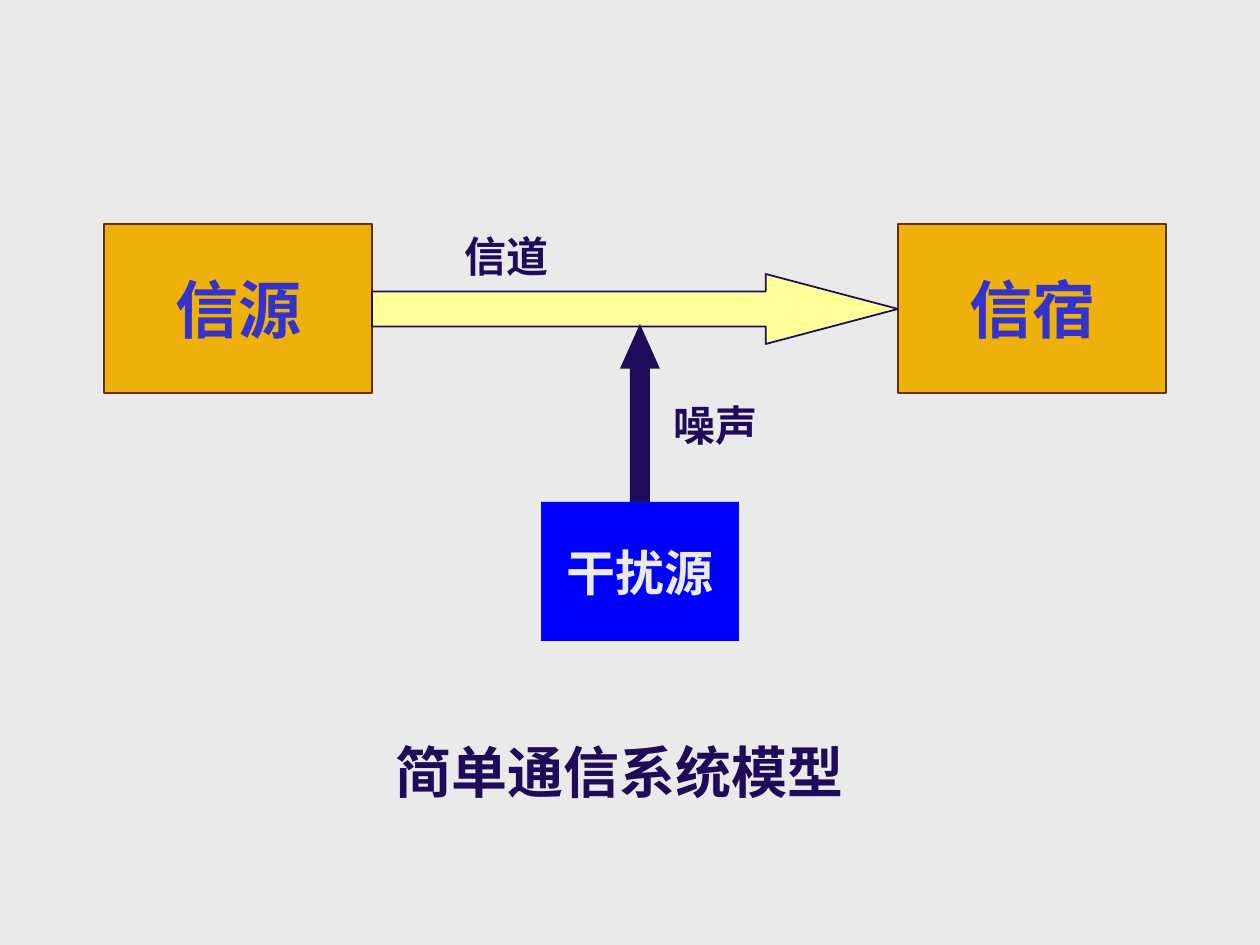
from pptx import Presentation
from pptx import util as u
from pptx.dml.color import RGBColor
from pptx.enum import shapes, text

PX = 914400 / 126  # EMU per px
FONT = "Times New Roman"
GREY = RGBColor(0xEA, 0xEA, 0xEA)
NAVY = RGBColor(0x20, 0x0B, 0x5B)
AMBER = RGBColor(0xEE, 0xB0, 0x0B)
BROWN = RGBColor(0x66, 0x33, 0x00)
INDIGO = RGBColor(0x33, 0x33, 0xCC)
BLUE = RGBColor(0x00, 0x00, 0xFF)
YELLOW = RGBColor(0xFF, 0xFF, 0x99)


def add_shape(kind, box, fill, line=None):
    sp = s.shapes.add_shape(kind, *[round(v * PX) for v in box])
    sp.shadow.inherit = False
    sp.fill.solid()
    sp.fill.fore_color.rgb = fill
    if line is None:
        sp.line.fill.background()
    else:
        sp.line.color.rgb = line
        sp.line.width = u.Pt(1)
    return sp


def write(sp, words, size, color, align, anchor, wrap=True):
    tf = sp.text_frame
    tf.word_wrap = wrap
    tf.vertical_anchor = anchor
    tf.text = words
    p = tf.paragraphs[0]
    p.alignment = align
    p.font.name = FONT
    p.font.size = u.Pt(size)
    p.font.bold = True
    p.font.color.rgb = color


prs = Presentation()
prs.slide_width, prs.slide_height = u.Inches(10), u.Inches(7.5)
s = prs.slides.add_slide(prs.slide_layouts[5])
s.background.fill.solid()
s.background.fill.fore_color.rgb = GREY
CENTER, LEFT = text.PP_ALIGN.CENTER, text.PP_ALIGN.LEFT
TOP, MIDDLE = text.MSO_ANCHOR.TOP, text.MSO_ANCHOR.MIDDLE

# Source, destination and interference boxes
for words, box, fill, line, size, color in [
    ("信源", (104, 224, 268, 169), AMBER, BROWN, 36, INDIGO),
    ("信宿", (898, 224, 268, 169), AMBER, BROWN, 36, INDIGO),
    ("干扰源", (541, 502, 198, 139), BLUE, None, 28, GREY),
]:
    sp = add_shape(shapes.MSO_SHAPE.RECTANGLE, box, fill, line)
    write(sp, words, size, color, CENTER, MIDDLE, wrap=False)

# Channel and noise arrows
channel = add_shape(shapes.MSO_SHAPE.RIGHT_ARROW, (372, 274, 526, 70), YELLOW, NAVY)
channel.adjustments[1] = 1.89
noise = add_shape(shapes.MSO_SHAPE.UP_ARROW, (620, 324, 40, 178), NAVY)
noise.adjustments[1] = 1.12

# Arrow labels
for words, box, align in [
    ("信道", (412, 224, 189, 63), CENTER),
    ("噪声", (661, 393, 139, 63), LEFT),
]:
    sp = s.shapes.add_textbox(*[round(v * PX) for v in box])
    write(sp, words, 24, NAVY, align, TOP)

# Title below the diagram
title = s.shapes.title
title.left, title.top, title.width, title.height = [
    round(v * PX) for v in (263, 731, 714, 81)]
write(title, "简单通信系统模型", 32, NAVY, CENTER, TOP)

prs.save("out.pptx")
